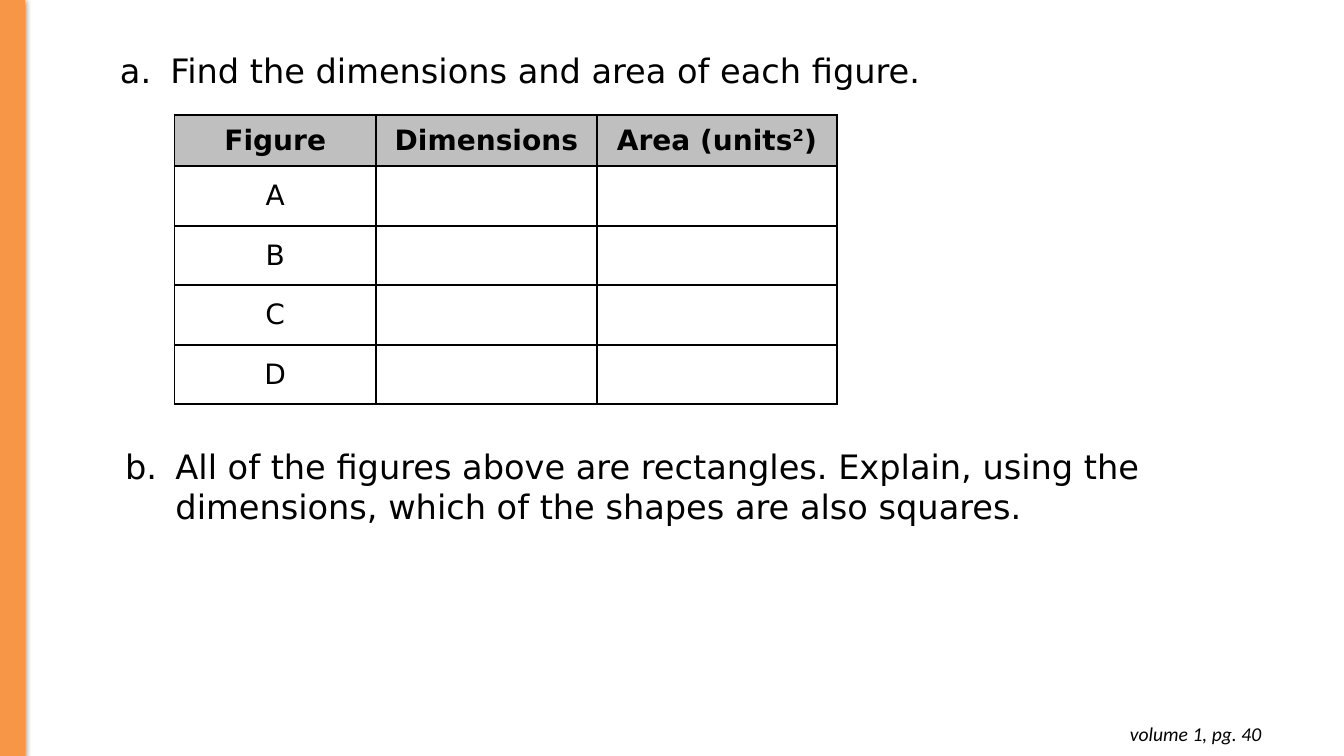
from pptx import Presentation
from pptx.dml.color import RGBColor
from pptx.enum.shapes import MSO_SHAPE
from pptx.enum.text import MSO_ANCHOR, MSO_AUTO_SIZE, PP_ALIGN
from pptx.oxml import parse_xml
from pptx.oxml.ns import nsdecls
from pptx.util import Inches, Pt

BLACK = RGBColor(0x00, 0x00, 0x00)
ORANGE = RGBColor(0xF7, 0x96, 0x47)
GRAY = RGBColor(0xBF, 0xBF, 0xBF)
BODY_FONT = "DejaVu Sans"
FOOTER_FONT = "Calibri"

COLUMN_WIDTHS = [2, 2.19, 2.38]
HEADER_HEIGHT, ROW_HEIGHT = 0.51, 0.59
HEADERS = [["Figure"], ["Dimensions"], ["Area (units", "2", ")"]]
FIGURES = ["A", "B", "C", "D"]


def place(shape, left, top, width, height):
    shape.left, shape.top = Inches(left), Inches(top)
    shape.width, shape.height = Inches(width), Inches(height)


def style_font(font, name, size, bold=False, italic=False):
    font.name, font.size = name, Pt(size)
    font.bold, font.italic = bold, italic
    font.color.rgb = BLACK


def add_side_bar(slide, left, top, width, height):
    bar = slide.shapes.add_shape(
        MSO_SHAPE.RECTANGLE, Inches(left), Inches(top), Inches(width), Inches(height))
    bar.fill.solid()
    bar.fill.fore_color.rgb = ORANGE
    bar.line.color.rgb = ORANGE
    bar.line.width = Pt(0.75)
    # Soft shadow below the bar
    bar.shadow.inherit = False
    effects = bar._element.spPr.find("{*}effectLst")
    effects.append(parse_xml(
        f'<a:outerShdw {nsdecls("a")} blurRad="{Pt(4.5)}" dist="{Pt(1.5)}" dir="5400000" '
        f'rotWithShape="0"><a:srgbClr val="{BLACK}"><a:alpha val="50000"/></a:srgbClr>'
        '</a:outerShdw>'))


def fill_question(placeholder, box, text, number, indent):
    place(placeholder, *box)
    frame = placeholder.text_frame
    frame.text = text
    frame.word_wrap = True
    frame.auto_size = MSO_AUTO_SIZE.NONE
    frame.vertical_anchor = MSO_ANCHOR.TOP
    paragraph = frame.paragraphs[0]

    # Lettered hanging indent
    properties = paragraph._p.get_or_add_pPr()
    properties.set("marL", str(Inches(indent)))
    properties.set("indent", str(Inches(-0.5)))
    for bullet in (
            f'<a:buClr {nsdecls("a")}><a:srgbClr val="{BLACK}"/></a:buClr>',
            f'<a:buFont {nsdecls("a")} typeface="{BODY_FONT}"/>',
            f'<a:buAutoNum {nsdecls("a")} type="alphaLcPeriod" startAt="{number}"/>'):
        properties.append(parse_xml(bullet))
    paragraph.space_before = Pt(0)
    style_font(paragraph.runs[0].font, BODY_FONT, 24)


def add_borders(cell):
    properties = cell._tc.get_or_add_tcPr()
    for side in ("lnL", "lnR", "lnT", "lnB"):
        properties.append(parse_xml(
            f'<a:{side} {nsdecls("a")} w="{Pt(1.5)}"><a:solidFill>'
            f'<a:srgbClr val="{BLACK}"/></a:solidFill></a:{side}>'))


def fill_cell(cell, pieces, header):
    add_borders(cell)
    if header:
        cell.fill.solid()
        cell.fill.fore_color.rgb = GRAY
    else:
        cell.fill.background()
    cell.vertical_anchor = MSO_ANCHOR.MIDDLE
    paragraph = cell.text_frame.paragraphs[0]
    paragraph.alignment = PP_ALIGN.CENTER
    for index, piece in enumerate(pieces):
        run = paragraph.add_run()
        run.text = piece
        style_font(run.font, BODY_FONT, 20, bold=header)
        # The second piece of a label is its exponent
        if index == 1:
            run._r.get_or_add_rPr().set("baseline", "30000")


def add_figure_table(slide, left, top):
    rows = [HEADERS] + [[[figure], [], []] for figure in FIGURES]
    heights = [HEADER_HEIGHT] + [ROW_HEIGHT] * len(FIGURES)
    table = slide.shapes.add_table(
        len(rows), len(COLUMN_WIDTHS), Inches(left), Inches(top),
        Inches(sum(COLUMN_WIDTHS)), Inches(sum(heights))).table
    table.first_row = table.horz_banding = False
    for column, width in zip(table.columns, COLUMN_WIDTHS):
        column.width = Inches(width)
    for row_index, (row, height) in enumerate(zip(rows, heights)):
        table.rows[row_index].height = Inches(height)
        for column_index, pieces in enumerate(row):
            fill_cell(table.cell(row_index, column_index), pieces, row_index == 0)


def add_page_reference(slide, left, top, width, height):
    shape = slide.shapes.add_textbox(
        Inches(left), Inches(top), Inches(width), Inches(height))
    frame = shape.text_frame
    frame.word_wrap = True
    frame.margin_left = frame.margin_right = Inches(0.1)
    frame.margin_top = frame.margin_bottom = Inches(0.1)
    frame.text = "volume 1, pg. 40"
    paragraph = frame.paragraphs[0]
    paragraph.alignment = PP_ALIGN.RIGHT
    style_font(paragraph.runs[0].font, FOOTER_FONT, 14, italic=True)


def build_question_slide(presentation):
    # Two Content layout: one body for each question, no title
    slide = presentation.slides.add_slide(presentation.slide_layouts[3])
    title = slide.shapes.title._element
    title.getparent().remove(title)
    first, second = slide.placeholders

    fill_question(first, (0.59, 0.44, 9.11, 0.5),
                  "Find the dimensions and area of each figure.", 1, 1)
    add_side_bar(slide, 0, -0.01, 0.24, 7.51)
    add_figure_table(slide, 1.73, 1.14)
    fill_question(second, (1.14, 4.37, 11.46, 0.91),
                  "All of the figures above are rectangles. Explain, using the "
                  "dimensions, which of the shapes are also squares.", 2, 0.5)
    add_page_reference(slide, 9.73, 7.06, 2.88, 0.44)


def main():
    presentation = Presentation()
    presentation.slide_width = Inches(13.33)
    presentation.slide_height = Inches(7.5)
    build_question_slide(presentation)
    presentation.save("out.pptx")


if __name__ == "__main__":
    main()
